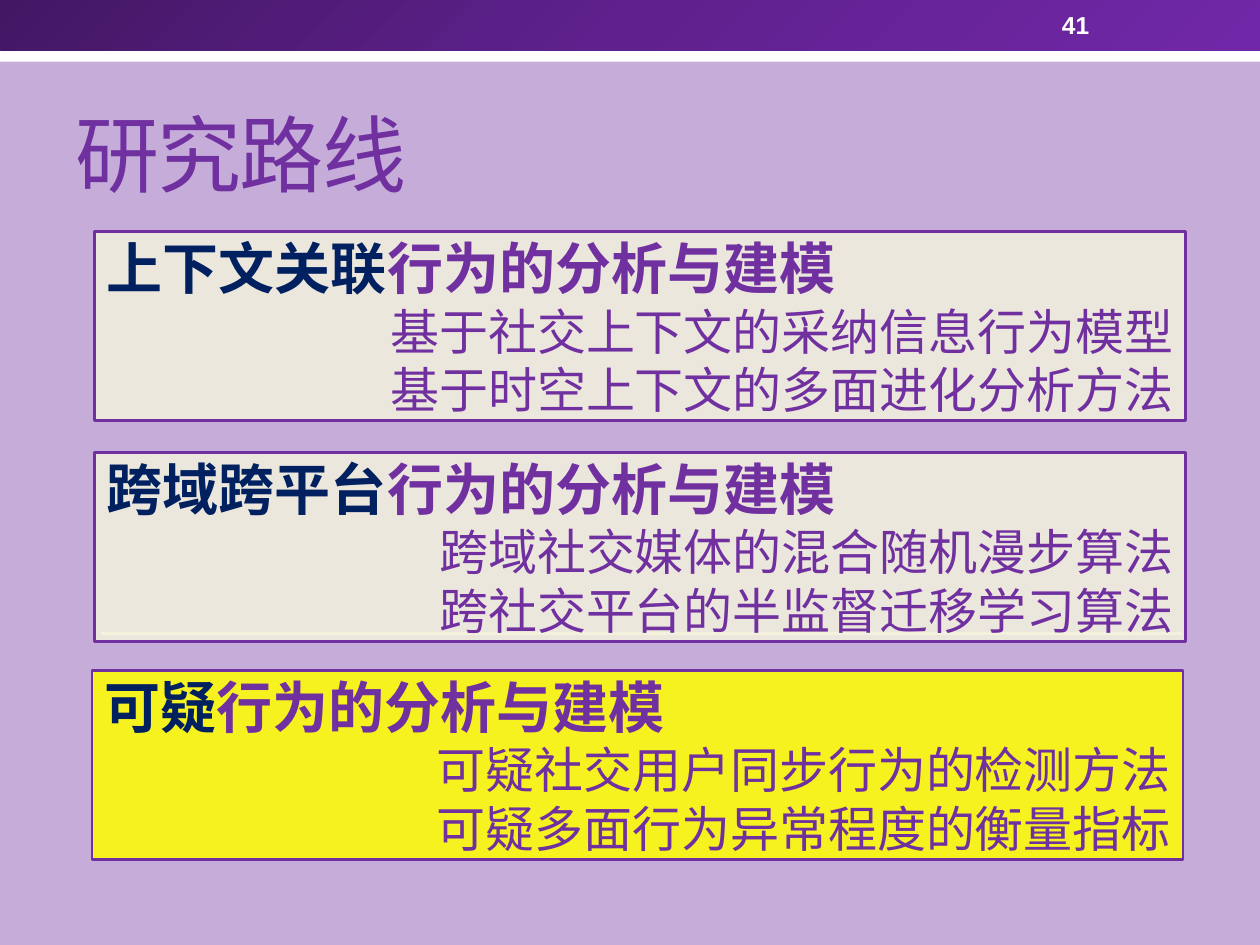
from copy import deepcopy
from dataclasses import dataclass

from lxml import etree
from pptx import Presentation
from pptx.dml.color import RGBColor as RGB
from pptx.enum.lang import MSO_LANGUAGE_ID as LANG
from pptx.enum.shapes import MSO_CONNECTOR as CONN, MSO_SHAPE as SHAPE
from pptx.enum.text import MSO_ANCHOR as ANCHOR, PP_ALIGN as ALIGN
from pptx.oxml.ns import qn
from pptx.util import Inches, Pt


@dataclass(frozen=True)
class Theme:
    font: str = "Arial"
    background: RGB = RGB.from_string("C6ACD9")
    white: RGB = RGB.from_string("FFFFFF")
    purple: RGB = RGB.from_string("7030A0")
    navy: RGB = RGB.from_string("002060")
    cream: RGB = RGB.from_string("F3F2DE")
    yellow: RGB = RGB.from_string("FFFF00")
    rule: RGB = RGB.from_string("F3F2DC")
    band: tuple = ("431764", "5F218E", "7128A8")
    title: Pt = Pt(48)
    heading: Pt = Pt(32)
    detail: Pt = Pt(28)
    number: Pt = Pt(14)
    line: Pt = Pt(1.5)


T = Theme()


def add_rect(left, top, width, height):
    sp = s.shapes.add_shape(SHAPE.RECTANGLE, Inches(left), Inches(top),
                            Inches(width), Inches(height))
    sp.shadow.inherit = False
    sp.line.fill.background()
    return sp


def add_run(p, text, size, color, bold=False):
    r = p.add_run()
    r.text = text
    fmt = {"name": T.font, "size": size, "bold": bold,
           "language_id": LANG.SIMPLIFIED_CHINESE}
    for key, value in fmt.items():
        setattr(r.font, key, value)
    r.font.color.rgb = color
    return r


prs = Presentation()
prs.slide_width, prs.slide_height = Inches(10), Inches(7.5)
s = prs.slides.add_slide(prs.slide_layouts[6])
s.background.fill.solid()
s.background.fill.fore_color.rgb = T.background

# Header: white strip below a gradient band
strip = add_rect(0, 0.24, 10, 0.25)
strip.fill.solid()
strip.fill.fore_color.rgb = T.white

band = add_rect(0, 0, 10, 0.4)
band.fill.gradient()
band.fill.gradient_angle = 315
stop_list = band.fill._fill._gradFill.find(qn("a:gsLst"))
stop_list.insert(1, deepcopy(stop_list[0]))
for stop, position, color in zip(band.fill.gradient_stops, (0, 0.5, 1), T.band):
    stop.position = position
    stop.color.rgb = RGB.from_string(color)

rule = s.shapes.add_connector(CONN.STRAIGHT, Inches(0.8), Inches(5.03),
                              Inches(9.38), Inches(5.03))
rule.line.color.rgb = T.rule
rule.line.width = T.line
etree.SubElement(rule._element.spPr, qn("a:effectLst"))

# Title and slide number
labels = [
    ("研究路线", (0.5, 0.58, 9, 1.08), ANCHOR.BOTTOM, T.title, T.purple, False, -100),
    ("41", (8.33, 0.02, 1.17, 0.36), ANCHOR.MIDDLE, T.number, T.white, True, 0),
]
for text, place, anchor, size, color, bold, spacing in labels:
    tf = s.shapes.add_textbox(*map(Inches, place)).text_frame
    tf.word_wrap = True
    tf.vertical_anchor = anchor
    r = add_run(tf.paragraphs[0], text, size, color, bold)
    r.font._element.set("spc", str(spacing))

# Research topics
topics = [
    (0.75, 1.84, T.cream, "上下文关联",
     ["基于社交上下文的采纳信息行为模型", "基于时空上下文的多面进化分析方法"]),
    (0.75, 3.59, T.cream, "跨域跨平台",
     ["跨域社交媒体的混合随机漫步算法", "跨社交平台的半监督迁移学习算法"]),
    (0.73, 5.32, T.yellow, "可疑",
     ["可疑社交用户同步行为的检测方法", "可疑多面行为异常程度的衡量指标"]),
]
for left, top, color, subject, details in topics:
    box = add_rect(left, top, 8.66, 1.5)
    box.fill.solid()
    box.fill.fore_color.rgb = color
    rgb = box._element.spPr.find(qn("a:solidFill"))[0]
    etree.SubElement(rgb, qn("a:alpha"), val="85000")
    box.line.color.rgb = T.purple
    box.line.width = T.line

    tf = box.text_frame
    tf.word_wrap = True
    tf.vertical_anchor = ANCHOR.MIDDLE
    p = tf.paragraphs[0]
    p.alignment = ALIGN.LEFT
    add_run(p, subject, T.heading, T.navy, True)
    add_run(p, "行为的分析与建模", T.heading, T.purple, True)
    for detail in details:
        p = tf.add_paragraph()
        p.alignment = ALIGN.RIGHT
        add_run(p, detail, T.detail, T.purple)

prs.save("out.pptx")
